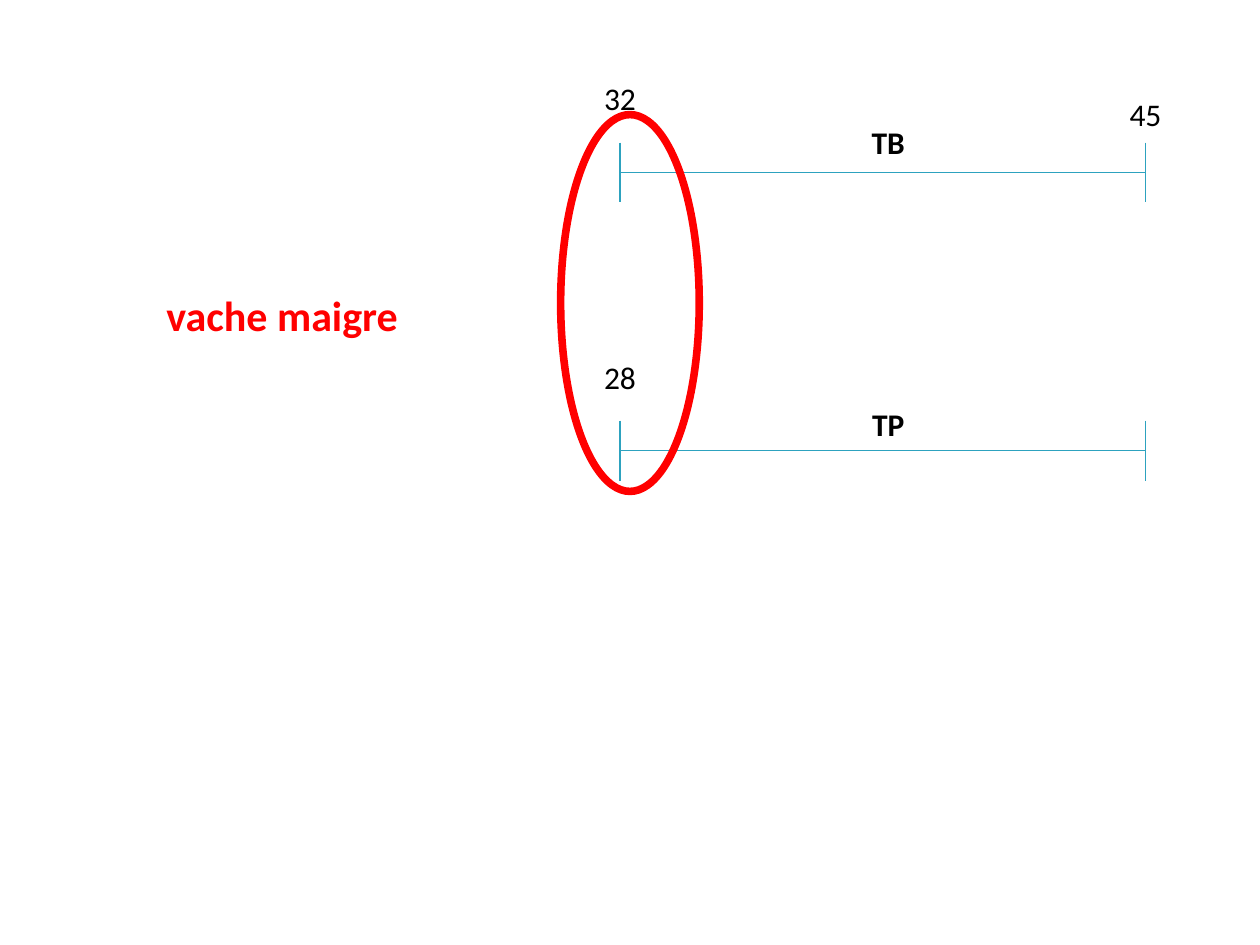
from lxml.etree import SubElement
from pptx import Presentation
from pptx.dml.color import RGBColor
from pptx.enum.shapes import MSO_CONNECTOR as Connector, MSO_SHAPE as Shape
from pptx.enum.text import MSO_AUTO_SIZE as AutoSize, PP_ALIGN as Align
from pptx.oxml.ns import qn
from pptx.util import Pt

TEAL = RGBColor(0x2D, 0xA2, 0xBF)
RED = RGBColor(0xFF, 0x00, 0x00)
BLACK = RGBColor(0x00, 0x00, 0x00)

SCALE_LEFT, SCALE_RIGHT = 354.3, 654.6
TICK_HALF = 17.1
LABEL_HEIGHT = 28.8


class Painter:
    """Holds the style and the current slide; lengths are in points."""

    font = "Calibri"

    def __init__(self, page):
        """Keep the slide to draw on."""
        self.page = page

    def line(self, x1, y1, x2, y2):
        """Draw a thin teal line."""
        line = self.page.shapes.add_connector(
            Connector.STRAIGHT, Pt(x1), Pt(y1), Pt(x2), Pt(y2))
        line.line.color.rgb = TEAL
        line.line.width = Pt(0.75)
        SubElement(line._element.spPr, qn("a:effectLst"))

    def text(self, words, left, top, width, height=LABEL_HEIGHT,
             size=18, color=BLACK, bold=False):
        """Write one centred line of text."""
        box = self.page.shapes.add_textbox(Pt(left), Pt(top), Pt(width), Pt(height))
        frame = box.text_frame
        frame.word_wrap = True
        frame.auto_size = AutoSize.SHAPE_TO_FIT_TEXT
        para = frame.paragraphs[0]
        para.text = words
        para.alignment = Align.CENTER
        para.font.name = self.font
        para.font.size = Pt(size)
        para.font.bold = bold
        para.font.color.rgb = color

    def ring(self, left, top, width, height):
        """Draw an unfilled red ellipse."""
        ring = self.page.shapes.add_shape(
            Shape.OVAL, Pt(left), Pt(top), Pt(width), Pt(height))
        ring.shadow.inherit = False
        ring.fill.background()
        ring.line.color.rgb = RED
        ring.line.width = Pt(4.33)

    def scale(self, name, y, name_top, values):
        """Draw a scale with end ticks, its name and (x, top, value) labels."""
        for x in (SCALE_LEFT, SCALE_RIGHT):
            self.line(x, y - TICK_HALF, x, y + TICK_HALF)
        self.line(SCALE_LEFT, y, SCALE_RIGHT, y)
        self.text(name, 468, name_top, 79.2, bold=True)
        for x, top, value in values:
            self.text(value, x - 33.9, top, 67.8)


def main():
    """Build the slide and save it."""
    deck = Presentation()
    deck.slide_width, deck.slide_height = Pt(720), Pt(540)
    painter = Painter(deck.slides.add_slide(deck.slide_layouts[6]))
    painter.scale("TB", 98.6, 67,
                  [(SCALE_LEFT, 41.8, "32"), (SCALE_RIGHT, 51, "45")])
    painter.scale("TP", 257.5, 228.2, [(SCALE_LEFT, 200.9, "28")])
    painter.ring(320.4, 65.5, 79.2, 215.3)
    painter.text("vache maigre", 29.5, 162, 263.5, 36, size=24, color=RED, bold=True)
    deck.save("out.pptx")


main()
